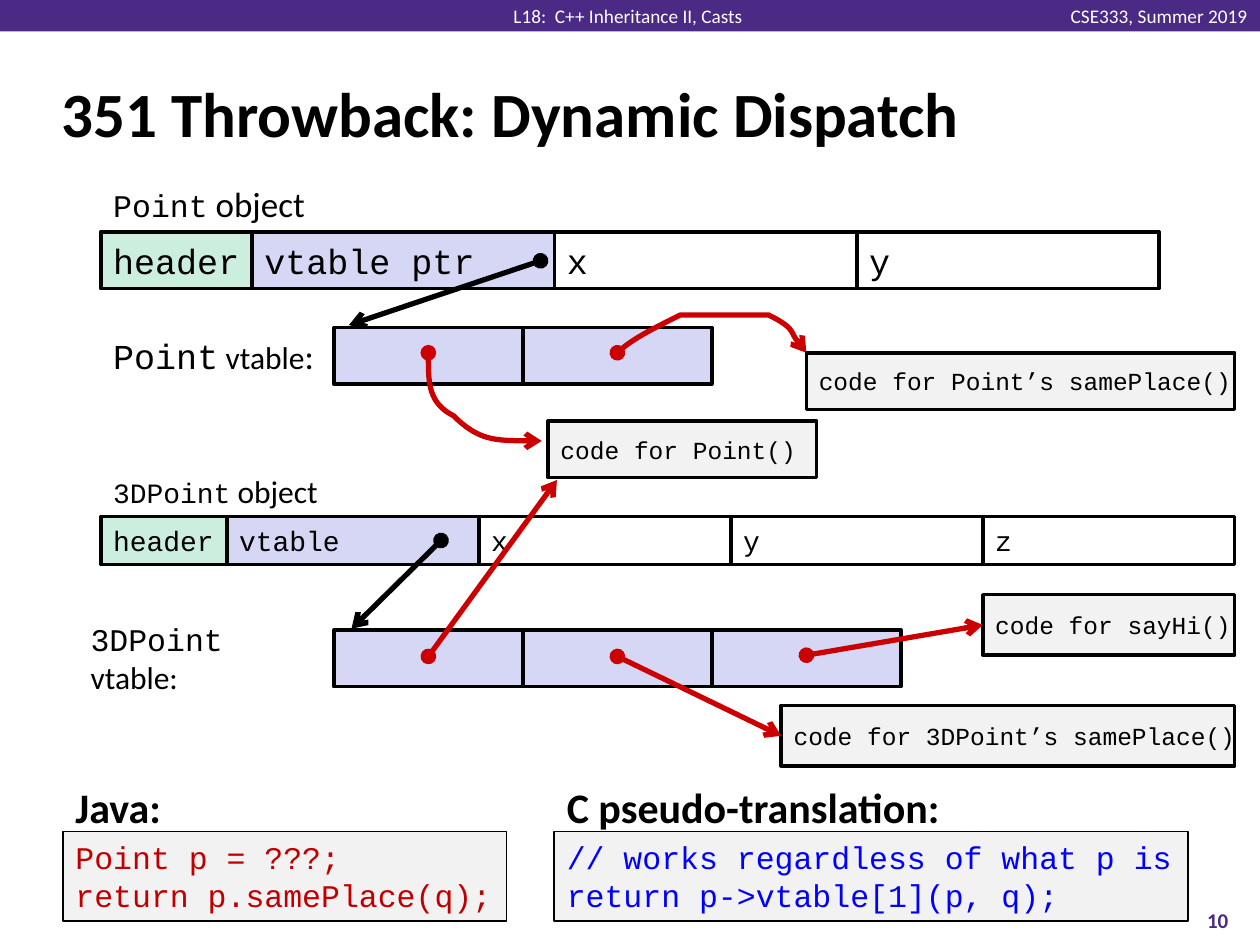
from lxml.etree import SubElement
from pptx import Presentation
from pptx.dml.color import RGBColor
from pptx.enum.shapes import MSO_CONNECTOR as LINK, MSO_SHAPE as SHAPE
from pptx.enum.text import MSO_ANCHOR as ANCHOR, PP_ALIGN as ALIGN
from pptx.oxml.ns import qn
from pptx.util import Inches, Pt

COLORS = {
    "purple": "4B2A85", "white": "FFFFFF", "black": "000000",
    "pointer": "D6D6F5", "header": "CCEEDF", "code": "F2F2F2",
    "arrow": "CC0000", "java": "C00000", "c": "0000FF",
}
RGB = {name: RGBColor.from_string(value) for name, value in COLORS.items()}
SANS, MONO = "Calibri", "Courier New"

prs = Presentation()
prs.slide_width, prs.slide_height = Inches(10), Inches(7.5)
UNIT = prs.slide_width // 100  # grid of 100 columns by 75 rows
slide = prs.slides.add_slide(prs.slide_layouts[6])
shapes = slide.shapes


def write(text, left, top, width, height, *, size=14, font=MONO, color="black",
          bold=False, align=ALIGN.LEFT, anchor=ANCHOR.MIDDLE, wrap=False,
          fill=None, line=0, more_runs=()):
    """Add text at a grid position, boxed if it has a fill or a line.

    more_runs holds (text, size, font) pieces that end the last paragraph.
    """
    area = [round(n * UNIT) for n in (left, top, width, height)]
    if fill or line:
        shape = shapes.add_shape(SHAPE.RECTANGLE, *area)
        shape.shadow.inherit = False
        if fill:
            shape.fill.solid()
            shape.fill.fore_color.rgb = RGB[fill]
        else:
            shape.fill.background()
        if line:
            shape.line.color.rgb = RGB["black"]
            shape.line.width = Pt(line)
        else:
            shape.line.fill.background()
    else:
        shape = shapes.add_textbox(*area)

    frame = shape.text_frame
    frame.word_wrap = wrap
    frame.vertical_anchor = anchor
    if anchor == ANCHOR.MIDDLE:
        frame.margin_top = frame.margin_bottom = 0
    paragraphs = [[(part, size, font)] for part in text.split("\n")]
    paragraphs[-1].extend(more_runs)
    for i, runs in enumerate(paragraphs):
        paragraph = frame.add_paragraph() if i else frame.paragraphs[0]
        paragraph.alignment = align
        for part, part_size, part_font in runs:
            if not part:
                continue
            run = paragraph.add_run()
            run.text = part
            run.font.size, run.font.name = Pt(part_size), part_font
            run.font.bold = bold
            run.font.color.rgb = RGB[color]
    return shape


def style_arrow(arrow, color):
    """Give a thick line a dot at its start and an arrowhead at its end."""
    arrow.line.color.rgb = RGB[color]
    arrow.line.width = Pt(3)
    outline = arrow.line._get_or_add_ln()
    SubElement(outline, qn("a:headEnd"), type="oval")
    SubElement(outline, qn("a:tailEnd"), type="arrow")
    properties = arrow._element.spPr
    if properties.find(qn("a:effectLst")) is None:
        SubElement(properties, qn("a:effectLst"))


# Banner, title and page number
write("", 0, 0, 100, 2.5, fill="purple")
write("CSE333, Summer 2019", 83.8, 0, 16.2, 2.5, size=11, font=SANS,
      color="white", align=ALIGN.RIGHT)
write("L18:  C++ Inheritance II, Casts", 39.5, 0, 20.7, 2.5, size=11, font=SANS,
      color="white", align=ALIGN.CENTER)
write("351 Throwback: Dynamic Dispatch", 3.9, 4.8, 91.9, 8.3, size=36,
      font=SANS, bold=True, wrap=True)
write("10", 93.3, 71, 6.7, 4, size=12, font=SANS, color="purple", bold=True,
      align=ALIGN.CENTER, wrap=True)

# Objects: a header cell, then a vtable pointer and fields twice as wide
objects = [
    (18.4, 4.5, 12, 20, ["header", "vtable ptr", "x", "y"]),
    (41, 3.8, 10, 16, ["header", "vtable", "x", "y", "z"]),
]
for top, height, header_width, size, cells in objects:
    left = 8
    for i, cell in enumerate(cells):
        width = header_width * (2 if i else 1)
        fill = {0: "header", 1: "pointer"}.get(i)
        write(cell, left, top, width, height, size=size, fill=fill, line=2)
        left += width
write("Point", 8, 14, 17.8, 4.4, size=18, anchor=ANCHOR.TOP,
      more_runs=[(" object", 20, SANS)])
write("3DPoint", 8, 37, 18.9, 4, size=16, anchor=ANCHOR.TOP,
      more_runs=[(" object", 18, SANS)])

# Vtables
for top, slots in ((26, 2), (50, 3)):
    for slot in range(slots):
        write("", 26.5 + 15 * slot, top, 15, 4.5, fill="pointer", line=2)
write("Point", 8, 26, 19.2, 4.4, size=20,
      more_runs=[(" vtable", 18, SANS), (":", 20, SANS)])
write("3DPoint ", 6.2, 50.2, 20.5, 4, size=18, more_runs=[("vtable:", 18, SANS)])

# Method code that the vtable slots lead to
method_format = {"fill": "code", "line": 2}
write("code for Point()", 43.5, 33.4, 21.3, 4.5, **method_format)
write("code for Point’s samePlace()", 64, 28, 34, 4.5, **method_format)
same_place_3d = write("code for 3DPoint’s samePlace()", 62, 56, 36, 4.8,
                      **method_format)
say_hi = write("code for sayHi()", 78, 47.2, 20, 4.8, **method_format)

# Java call and its C translation
listings = [
    ("Java:", 5, 35.2, "java", "Point p = ???;\nreturn p.samePlace(q);"),
    ("C pseudo-translation:", 44, 50.3, "c",
     "// works regardless of what p is\nreturn p->vtable[1](p, q);"),
]
for heading, left, width, color, code in listings:
    write(code, left, 66, width, 7.1, size=18, color=color, anchor=ANCHOR.TOP,
          fill="code", line=1)
    write(heading, left, 61.5, 32, 5, size=24, font=SANS, bold=True,
          anchor=ANCHOR.TOP)

# Straight pointers
pointers = [
    (42.9, 20.7, 27.7, 25.8, "black", None),
    (35, 42.9, 27.9, 49.9, "black", None),
    (34, 52.1, 44.2, 38.1, "arrow", None),
    (49, 52.1, 62, 58.4, "arrow", same_place_3d),
    (64, 52, 78, 49.6, "arrow", say_hi),
]
for *ends, color, method in pointers:
    pointer = shapes.add_connector(LINK.STRAIGHT, *[round(n * UNIT) for n in ends])
    if method:
        pointer.end_connect(method, 1)
    style_arrow(pointer, color)

# Curved pointers: a start, then two control points and an end per bend
curves = [
    [(48.8, 28.1), (50.2, 26.9), (51.5, 25.8), (53.6, 25.3), (55.6, 24.8),
     (59.3, 24.8), (61, 25.2), (62.8, 25.7), (63.4, 26.8), (64.1, 27.9)],
    [(33.8, 28), (34.1, 30.1), (34.5, 32.2), (36.1, 33.4), (37.7, 34.6),
     (40.5, 34.8), (43.4, 35.1)],
]
for start, *bends in curves:
    builder = shapes.build_freeform(*start, scale=UNIT)
    builder.add_line_segments(bends, close=False)
    curve = builder.convert_to_shape()
    curve.shadow.inherit = False
    curve.fill.background()
    outline_path = curve._element.find(".//" + qn("a:path"))
    segments = outline_path.findall(qn("a:lnTo"))
    for i in range(0, len(segments), 3):
        bezier = SubElement(outline_path, qn("a:cubicBezTo"))
        for segment in segments[i:i + 3]:
            bezier.append(segment[0])
            outline_path.remove(segment)
    style_arrow(curve, "arrow")

prs.save("out.pptx")
